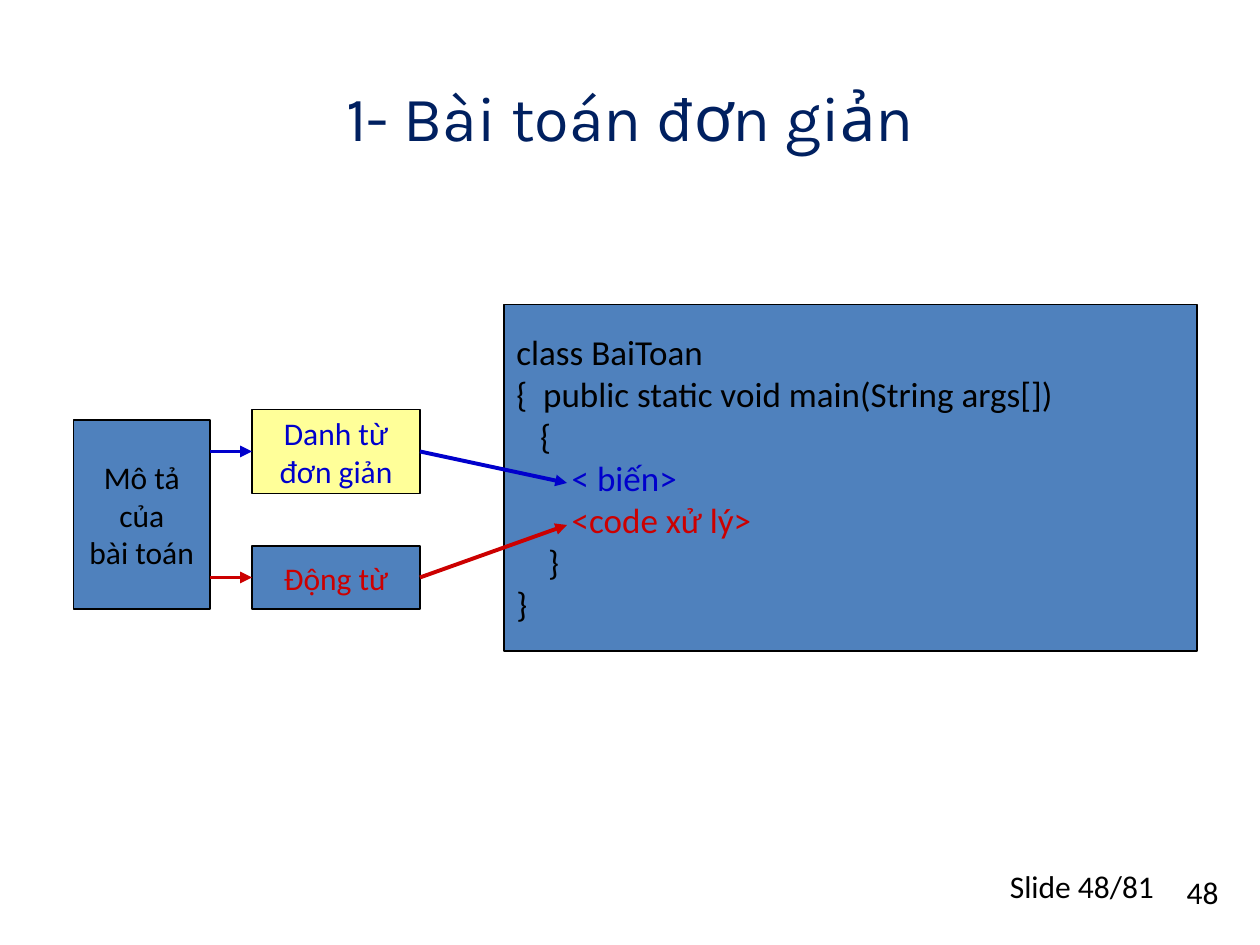
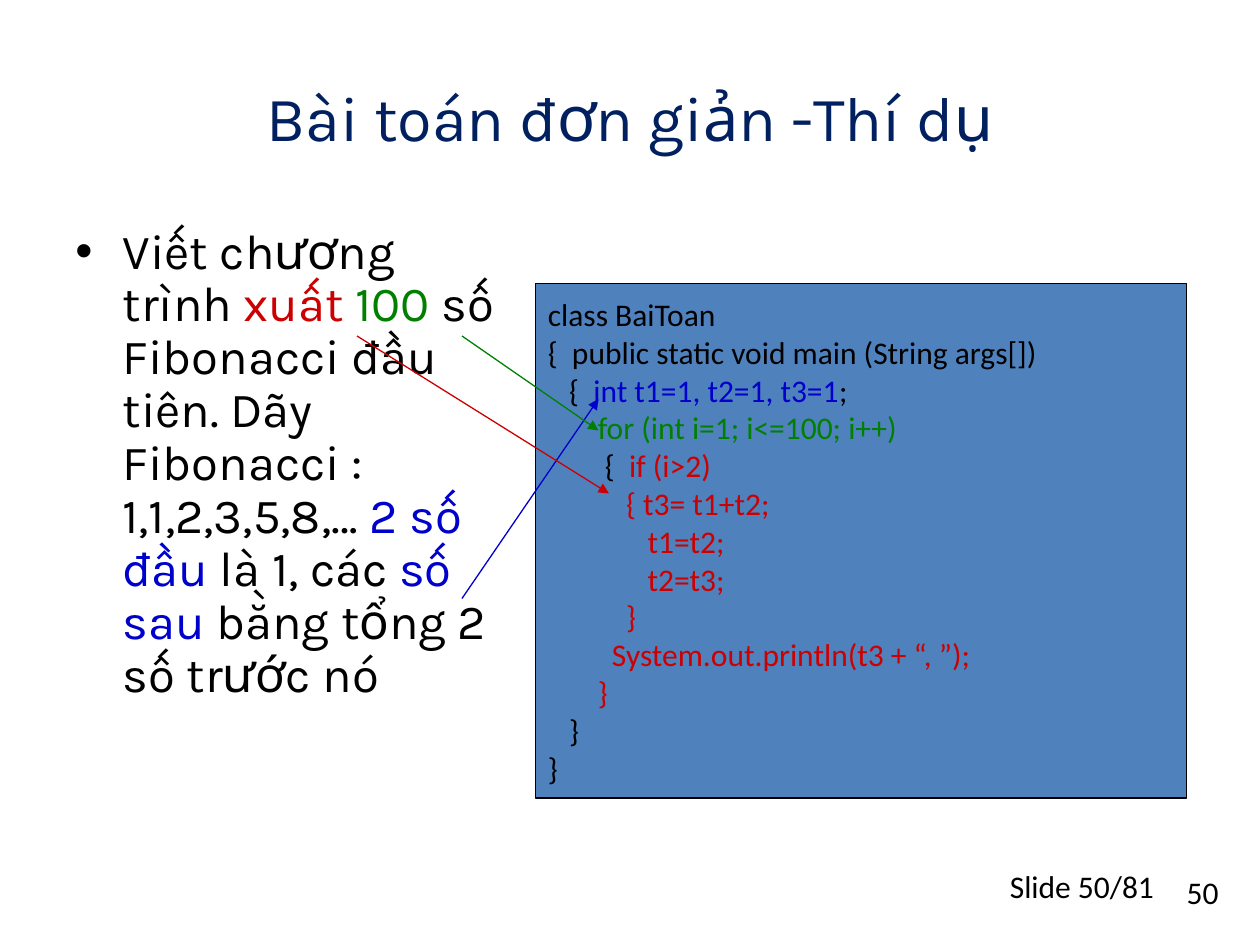
from dataclasses import dataclass

from lxml import etree
from pptx import Presentation
from pptx.dml.color import RGBColor
from pptx.enum.shapes import MSO_CONNECTOR, MSO_SHAPE
from pptx.enum.text import MSO_ANCHOR, MSO_AUTO_SIZE, PP_ALIGN
from pptx.oxml.ns import qn
from pptx.util import Pt

RECTANGLE = MSO_SHAPE.RECTANGLE
STRAIGHT = MSO_CONNECTOR.STRAIGHT
TOP, MIDDLE = MSO_ANCHOR.TOP, MSO_ANCHOR.MIDDLE
NO_AUTOFIT = MSO_AUTO_SIZE.NONE
LEFT, CENTER, RIGHT = PP_ALIGN.LEFT, PP_ALIGN.CENTER, PP_ALIGN.RIGHT

COLORS = {
    "title": "002060",
    "text": "000000",
    "panel": "4F81BD",
    "highlight": "FFFF99",
    "noun": "0000CC",
    "verb": "CC0000",
    "loop": "008000",
}
TITLE_FONT, CODE_FONT = "Karla", "Calibri"
SPACE_WIDTH = 0.226  # width of one code column, in ems
TOTAL_SLIDES = 81


@dataclass(frozen=True)
class Line:
    """One paragraph: (text, colour) runs, indented by code columns."""
    runs: tuple
    column: int = 0


@dataclass(frozen=True)
class Box:
    area: tuple
    lines: tuple
    size: int = 18
    fill: str = "panel"
    align: PP_ALIGN = LEFT
    wrap: bool = True


@dataclass(frozen=True)
class Arrow:
    start: tuple
    end: tuple
    color: str
    weight: float


def line(text: str, color: str = "text", column: int = 0) -> Line:
    return Line(((text, color),), column)


def rgb(color: str) -> RGBColor:
    return RGBColor.from_string(COLORS[color])


def points(values: tuple) -> list:
    return [Pt(value) for value in values]


def write(frame, lines: tuple, size: int, font: str = CODE_FONT,
          align: PP_ALIGN = LEFT, anchor: MSO_ANCHOR = TOP,
          wrap: bool = True) -> None:
    frame.auto_size = NO_AUTOFIT
    frame.word_wrap = wrap
    frame.vertical_anchor = anchor
    for index, content in enumerate(lines):
        paragraph = frame.paragraphs[0] if index == 0 else frame.add_paragraph()
        paragraph.alignment = align
        paragraph.font.size = Pt(size)
        paragraph.font.name = font
        if content.column:
            indent = Pt(round(content.column * size * SPACE_WIDTH, 2))
            properties = paragraph._p.get_or_add_pPr()
            properties.set("marL", str(indent))
            properties.set("indent", "0")
        for text, color in content.runs:
            run = paragraph.add_run()
            run.text = text
            run.font.color.rgb = rgb(color)


def add_text(slide, area: tuple, lines: tuple, size: int, **style):
    frame = slide.shapes.add_textbox(*points(area)).text_frame
    write(frame, lines, size, **style)
    return frame


def add_box(slide, box: Box) -> None:
    shape = slide.shapes.add_shape(RECTANGLE, *points(box.area))
    shape.shadow.inherit = False
    shape.fill.solid()
    shape.fill.fore_color.rgb = rgb(box.fill)
    shape.line.color.rgb = rgb("text")
    shape.line.width = Pt(0.75)
    write(shape.text_frame, box.lines, box.size, align=box.align,
          anchor=MIDDLE, wrap=box.wrap)


def add_arrow(slide, arrow: Arrow) -> None:
    connector = slide.shapes.add_connector(
        STRAIGHT, *points(arrow.start + arrow.end))
    connector.line.color.rgb = rgb(arrow.color)
    connector.line.width = Pt(arrow.weight)
    etree.SubElement(connector.line._get_or_add_ln(), qn("a:tailEnd"),
                     type="triangle")
    etree.SubElement(connector._element.spPr, qn("a:effectLst"))


def add_bullet(paragraph) -> None:
    properties = paragraph._p.get_or_add_pPr()
    properties.set("marL", str(Pt(27)))
    properties.set("indent", str(Pt(-27)))
    paragraph.line_spacing = 0.9
    paragraph.space_before = Pt(5.6)
    bullet_font = etree.Element(qn("a:buFont"), typeface="Arial")
    bullet = etree.Element(qn("a:buChar"), char="•")
    defaults = properties.find(qn("a:defRPr"))
    defaults.addprevious(bullet_font)
    defaults.addprevious(bullet)


def add_slide(deck, title: str, number: int):
    slide = deck.slides.add_slide(deck.slide_layouts[5])
    heading = slide.shapes.title
    heading.left, heading.top, heading.width, heading.height = points(
        (36, 21.6, 648, 90))
    write(heading.text_frame, (line(title, "title"),), 36, font=TITLE_FONT,
          align=CENTER, anchor=MIDDLE)
    # Footer: page number and progress
    add_text(slide, (568, 495.4, 135.4, 28.8), (line(str(number)),), 18,
             align=RIGHT)
    add_text(slide, (570, 492, 114, 37.4),
             (line(f"Slide {number}/{TOTAL_SLIDES}"),), 18)
    return slide


deck = Presentation()
deck.slide_width, deck.slide_height = Pt(720), Pt(540)

# Slide 48: from description to program
overview = add_slide(deck, "1- Bài toán đơn giản", 48)
noun_y, verb_y = 258, 330
overview_boxes = (
    Box((42, 240, 78, 108),
        (line("Mô tả"), line("của"), line("bài toán")),
        align=CENTER, wrap=False),
    Box((144, 234, 96, 48),
        (line("Danh từ", "noun"), line("đơn giản", "noun")),
        fill="highlight", align=CENTER, wrap=False),
    Box((144, 312, 96, 36), (line("Động từ", "verb"),),
        align=CENTER, wrap=False),
    Box((288, 174, 396, 198), (
        line("class BaiToan"),
        line("{  public static void main(String args[])"),
        line("{", column=3),
        line("< biến>", "noun", 7),
        line("<code xử lý>", "verb", 7),
        line("}", column=4),
        line("}"),
    ), size=20),
)
for box in overview_boxes:
    add_box(overview, box)
for color, word_y, code_y in (("noun", noun_y, 276), ("verb", verb_y, 300)):
    add_arrow(overview, Arrow((120, word_y), (144, word_y), color, 2.25))
    add_arrow(overview, Arrow((240, word_y), (324, code_y), color, 2.25))

# Slide 50: Fibonacci example
example = add_slide(deck, "Bài toán đơn giản -Thí dụ", 50)
task = Line((
    ("Viết chương trình ", "text"),
    ("xuất ", "verb"),
    ("100", "loop"),
    (" số Fibonacci đầu tiên. Dãy Fibonacci : 1,1,2,3,5,8,… ", "text"),
    ("2 số đầu", "noun"),
    (" là 1, các ", "text"),
    ("số sau", "noun"),
    (" bằng tổng 2 số trước nó", "text"),
))
task_frame = add_text(example, (36, 126, 258, 356.4), (task,), 28,
                      font=TITLE_FONT)
add_bullet(task_frame.paragraphs[0])

add_box(example, Box((306, 162, 372, 294), (
    line("class BaiToan"),
    line("{  public static void main (String args[])"),
    Line((("{  ", "text"), ("int t1=1, t2=1, t3=1", "noun"), (";", "text")), 3),
    line("for (int i=1; i<=100; i++)", "loop", 7),
    Line((("{  ", "text"), ("if (i>2)", "verb")), 8),
    line("{ t3= t1+t2;", "verb", 11),
    line("t1=t2;", "verb", 14),
    line("t2=t3;", "verb", 14),
    line("}", "verb", 11),
    line("System.out.println(t3 + “, ”);", "verb", 9),
    line("}", "verb", 7),
    line("}", column=3),
    line("}"),
)))
for arrow in (
    Arrow((264, 342), (342, 228), "noun", 0.75),
    Arrow((264, 192), (342, 246), "loop", 0.75),
    Arrow((204, 192), (348, 282), "verb", 0.75),
):
    add_arrow(example, arrow)

deck.save("out.pptx")
